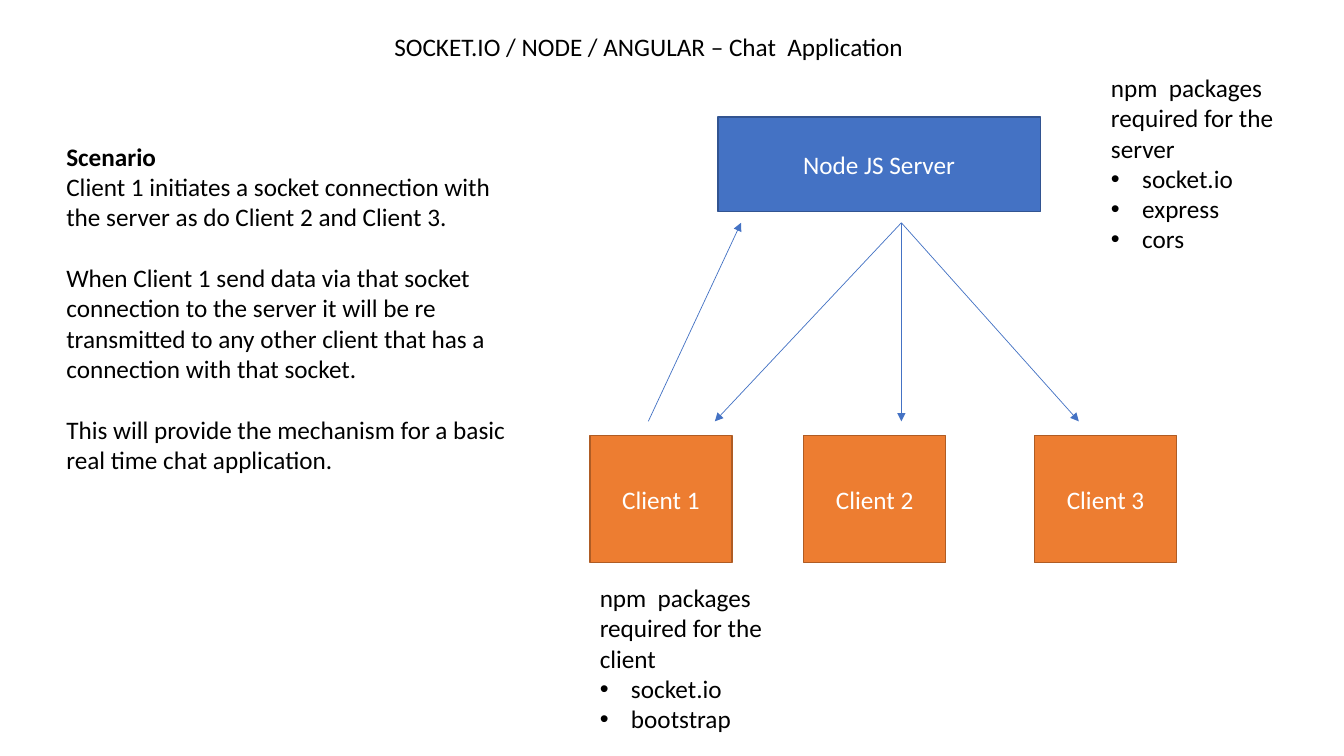
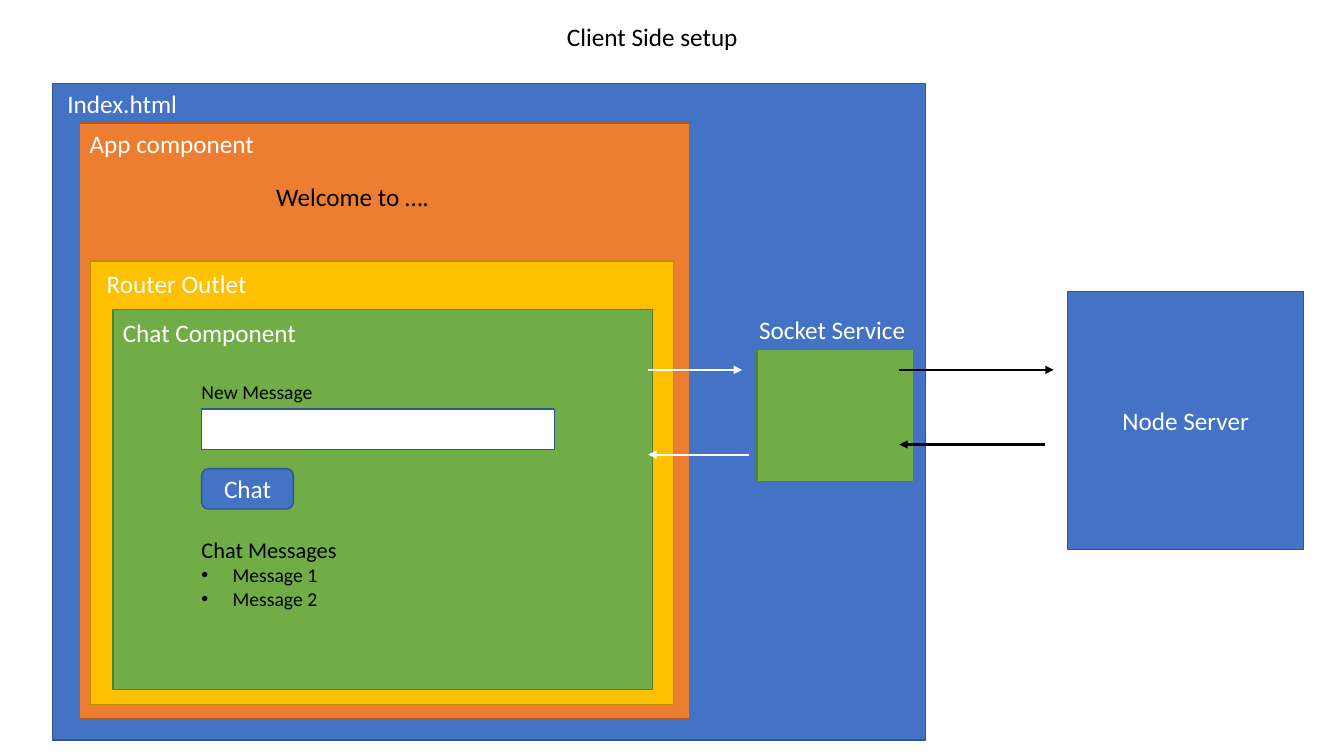
from dataclasses import dataclass

from lxml import etree
from pptx import Presentation
from pptx.dml.color import RGBColor
from pptx.enum.shapes import MSO_CONNECTOR, MSO_SHAPE
from pptx.enum.text import MSO_ANCHOR, MSO_AUTO_SIZE, PP_ALIGN
from pptx.oxml.ns import qn
from pptx.util import Inches, Pt

RECT = MSO_SHAPE.RECTANGLE
ROUNDED = MSO_SHAPE.ROUNDED_RECTANGLE
STRAIGHT = MSO_CONNECTOR.STRAIGHT
TOP, MIDDLE = MSO_ANCHOR.TOP, MSO_ANCHOR.MIDDLE
LEFT, CENTER = PP_ALIGN.LEFT, PP_ALIGN.CENTER
GROW = MSO_AUTO_SIZE.SHAPE_TO_FIT_TEXT
TITLE_ONLY = 5


@dataclass(frozen=True)
class Theme:
    font: str = "Calibri"
    black: str = "000000"
    white: str = "FFFFFF"
    blue: tuple = ("4472C4", "325491")
    orange: tuple = ("ED7D31", "AF5C24")
    yellow: tuple = ("FFC000", "BD8E00")
    green: tuple = ("70AD47", "538035")
    field: tuple = ("FFFFFF", "325491")
    body: int = 18
    medium: int = 16
    small: int = 14
    outline: float = 1
    thin: float = 0.5
    thick: float = 1.5
    indent: float = 0.31
    label_height: float = 0.4


@dataclass(frozen=True)
class Box:
    left: float
    top: float
    width: float
    height: float

    def inner(self, dx, dy, width, height):
        return Box(self.left + dx, self.top + dy, width, height)

    def point(self, dx, dy):
        return self.left + dx, self.top + dy

    def emu(self):
        return [Inches(v) for v in (self.left, self.top, self.width, self.height)]


@dataclass(frozen=True)
class Para:
    text: str
    size: int = 18
    bold: bool = False
    bullet: bool = False
    before: int = 0


T = Theme()


def rgb(value):
    return RGBColor.from_string(value)


def add_bullet(p):
    pPr = p._p.get_or_add_pPr()
    pPr.set("marL", str(Inches(T.indent)))
    pPr.set("indent", str(-Inches(T.indent)))
    etree.SubElement(pPr, qn("a:buFont")).set("typeface", "Arial")
    etree.SubElement(pPr, qn("a:buChar")).set("char", "•")


def write(tf, paras, color, align=LEFT, anchor=TOP, wrap=True):
    tf.word_wrap = wrap
    tf.vertical_anchor = anchor
    for i, para in enumerate(paras):
        p = tf.add_paragraph() if i else tf.paragraphs[0]
        p.alignment = align
        p.space_before = Pt(para.before)
        if para.bullet:
            add_bullet(p)
        r = p.add_run()
        r.text = para.text
        r.font.name = T.font
        r.font.size = Pt(para.size)
        r.font.bold = para.bold
        r.font.color.rgb = rgb(color)


def add_text(s, box, paras, color=T.black, wrap=True):
    tf = s.shapes.add_textbox(*box.emu()).text_frame
    write(tf, paras, color, wrap=wrap)
    tf.auto_size = GROW


def add_block(s, box, colors, text="", shape=RECT):
    sp = s.shapes.add_shape(shape, *box.emu())
    fill, line = colors
    sp.shadow.inherit = False
    sp.fill.solid()
    sp.fill.fore_color.rgb = rgb(fill)
    sp.line.color.rgb = rgb(line)
    sp.line.width = Pt(T.outline)
    if text:
        write(sp.text_frame, [Para(text)], T.white, CENTER, MIDDLE)


def add_arrow(s, start, end, color, width):
    ends = [Inches(v) for v in (*start, *end)]
    line = s.shapes.add_connector(STRAIGHT, *ends)
    line.line.color.rgb = rgb(color)
    line.line.width = Pt(width)
    spPr = line._element.spPr
    etree.SubElement(spPr.find(qn("a:ln")), qn("a:tailEnd")).set("type", "triangle")
    etree.SubElement(spPr, qn("a:effectLst"))


def add_titled_slide(prs, title, box):
    s = prs.slides.add_slide(prs.slide_layouts[TITLE_ONLY])
    sp = s.shapes.title
    sp.left, sp.top, sp.width, sp.height = box.emu()
    write(sp.text_frame, [Para(title)], T.black, CENTER, wrap=False)
    sp.text_frame.auto_size = GROW
    return s


def add_network(s, box):
    add_block(s, box.inner(1.27, 0, 3.2, 0.94), T.blue, "Node JS Server")
    for number, dx in enumerate((0, 2.12, 4.41), 1):
        add_block(s, box.inner(dx, 3.16, 1.41, 1.26), T.orange, f"Client {number}")
    upper, lower, hub = 1.05, 3.02, 3.09
    add_arrow(s, box.point(0.58, lower), box.point(1.5, upper), T.blue[0], T.thin)
    for dx in (hub, 4.85, 1.24):
        add_arrow(s, box.point(hub, upper), box.point(dx, lower), T.blue[0], T.thin)


def add_scenario(s, box):
    add_text(s, box, [
        Para("Scenario", bold=True),
        Para("Client 1 initiates a socket connection with the server "
             "as do Client 2 and Client 3."),
        Para("When Client 1 send data via that socket connection to the server "
             "it will be re transmitted to any other client that has a "
             "connection with that socket.", before=22),
        Para("This will provide the mechanism for a basic real time "
             "chat application.", before=22),
    ])


def add_packages(s, box, side, packages):
    heading = Para(f"npm  packages required for the {side}")
    add_text(s, box, [heading, *(Para(name, bullet=True) for name in packages)])


def add_label(s, box, text, dx=0, dy=0, width=1.85):
    add_text(s, box.inner(dx, dy, width, T.label_height), [Para(text)], T.white)


def add_chat(s, box):
    add_block(s, box, T.green)
    add_label(s, box, "Chat Component", dy=0.03, width=2.27)
    add_text(s, box.inner(0.78, 0.65, 1.31, 0.34),
             [Para("New Message", T.small)], wrap=False)
    add_block(s, box.inner(0.88, 0.99, 3.5, 0.4), T.field)
    add_block(s, box.inner(0.88, 1.58, 0.91, 0.4), T.blue, "Chat", ROUNDED)
    messages = [Para(f"Message {n}", T.small, bullet=True) for n in (1, 2)]
    add_text(s, box.inner(0.78, 2.2, 1.56, 0.84),
             [Para("Chat Messages", T.medium), *messages], wrap=False)


def add_app(s, box):
    add_block(s, box, T.orange)
    add_label(s, box, "App component")
    add_text(s, box.inner(1.85, 0.53, 1.73, T.label_height),
             [Para("Welcome to ….")], wrap=False)
    outlet = box.inner(0.11, 1.37, 5.78, 4.4)
    add_block(s, outlet, T.yellow)
    add_label(s, outlet, "Router Outlet", 0.06, 0.02, 1.68)
    add_chat(s, outlet.inner(0.22, 0.48, 5.35, 3.77))


def add_page(s, box):
    add_block(s, box, T.blue)
    add_label(s, box, "Index.html", 0.05)
    add_app(s, box.inner(0.27, 0.39, 6.05, 5.91))
    service = box.inner(6.99, 2.64, 1.55, 1.31)
    add_block(s, service, T.green)
    add_label(s, service, "Socket Service", -0.08, -0.4)


def add_traffic(s, box):
    for x1, x2, dy, color in (
        (2.49, 4.02, 0, T.black),
        (3.93, 2.49, 0.74, T.black),
        (0, 0.93, 0, T.white),
        (1, 0, 0.84, T.white),
    ):
        add_arrow(s, box.point(x1, dy), box.point(x2, dy), color, T.thick)


def build_overview(prs):
    s = add_titled_slide(prs, "SOCKET.IO / NODE / ANGULAR – Chat  Application",
                         Box(3.71, 0.26, 5.45, T.label_height))
    add_network(s, Box(5.85, 1.16, 5.82, 4.42))
    add_scenario(s, Box(0.56, 1.35, 4.56, 3.43))
    add_packages(s, Box(10.92, 0.67, 1.85, 1.92), "server",
                 ("socket.io", "express", "cors"))
    add_packages(s, Box(5.85, 5.73, 1.85, 1.62), "client",
                 ("socket.io", "bootstrap"))


def build_client_side(prs):
    s = add_titled_slide(prs, "Client Side setup",
                         Box(5.51, 0.16, 1.92, T.label_height))
    add_page(s, Box(0.52, 0.83, 8.66, 6.51))
    add_block(s, Box(10.59, 2.89, 2.34, 2.56), T.blue, "Node Server")
    add_traffic(s, Box(6.43, 3.67, 4.02, 0.84))


def main():
    prs = Presentation()
    prs.slide_width, prs.slide_height = Inches(13.33), Inches(7.5)
    build_overview(prs)
    build_client_side(prs)
    prs.save("out.pptx")


if __name__ == "__main__":
    main()
